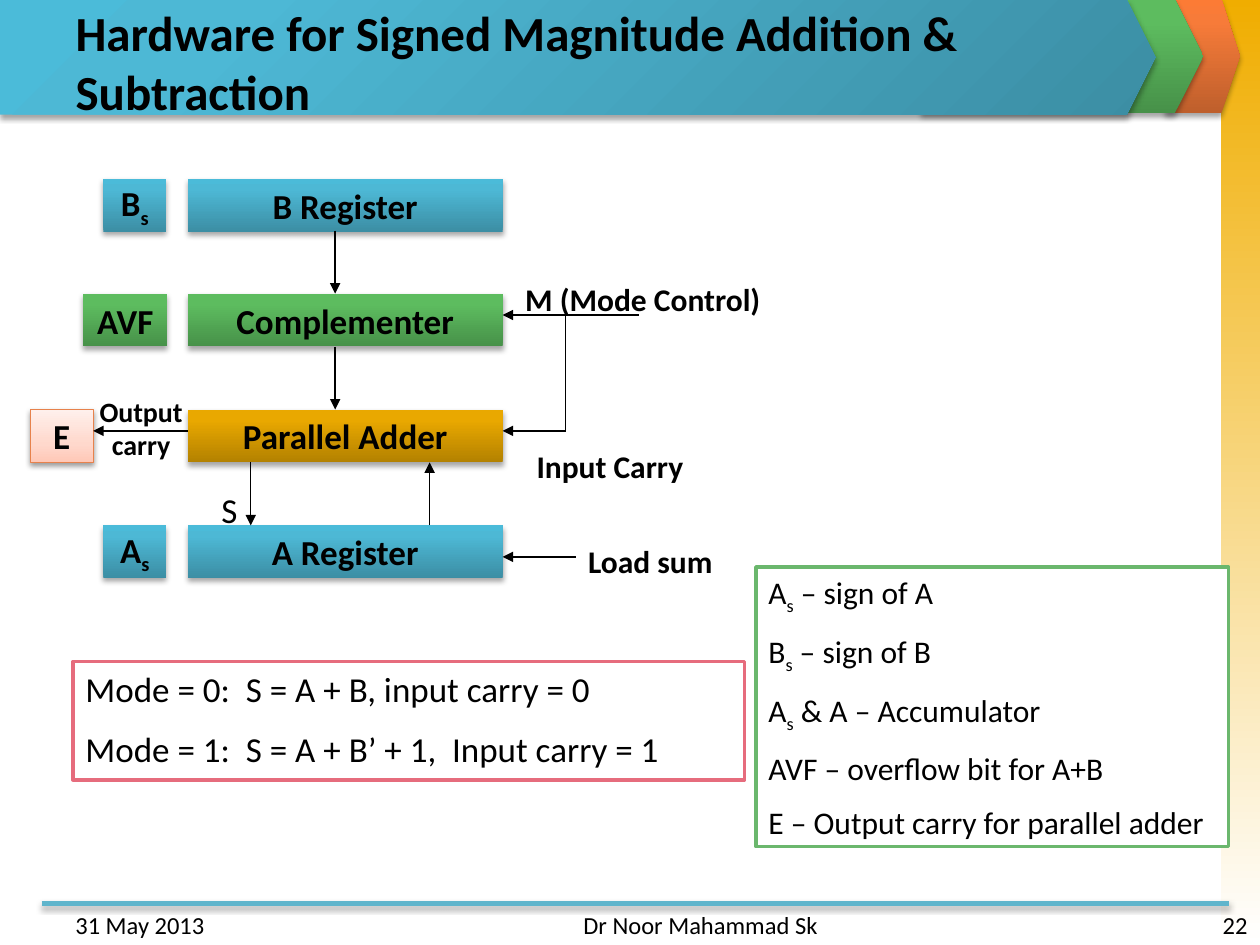
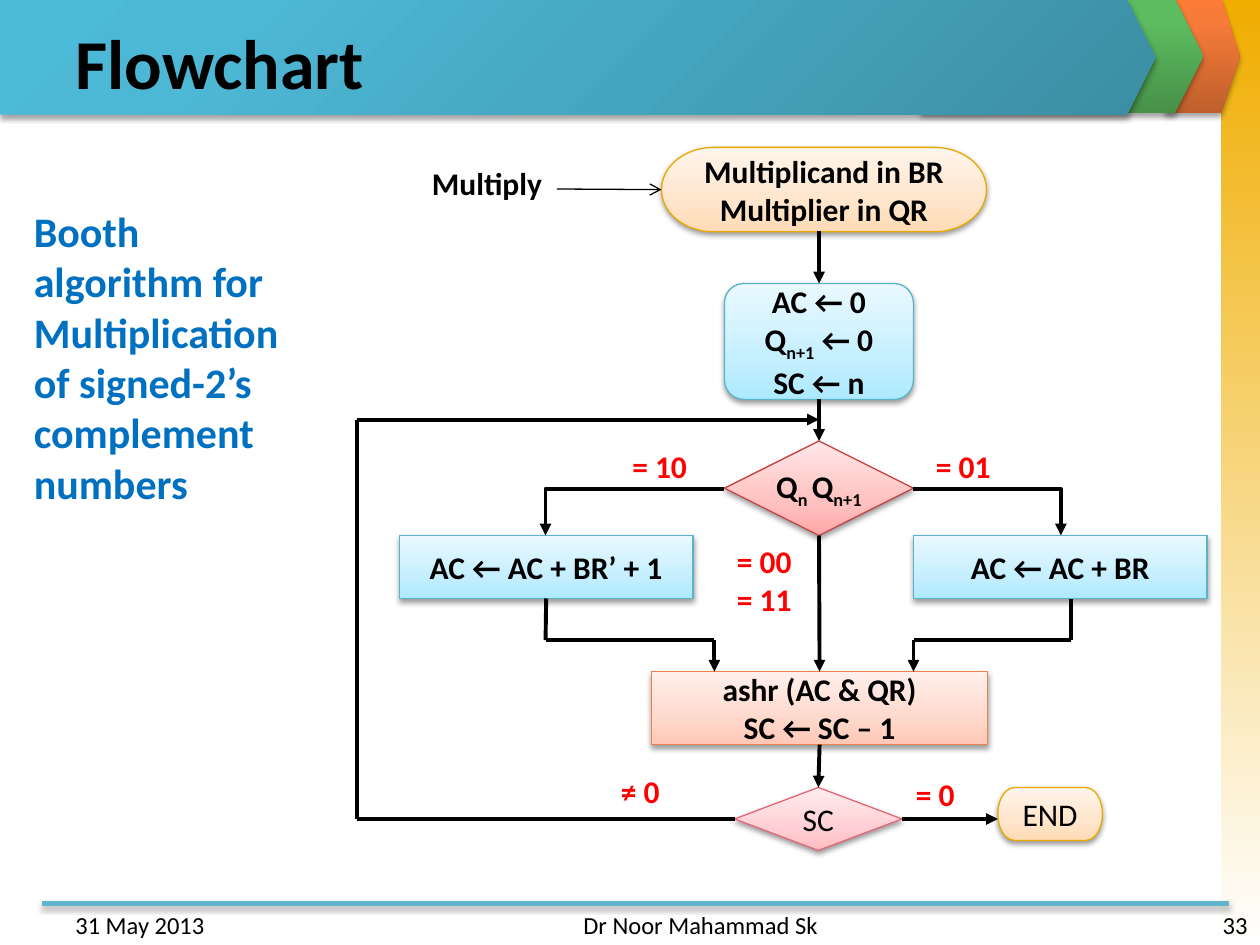
"""Build two computer-arithmetic slides: signed-magnitude hardware and the Booth flowchart."""
from collections import namedtuple
from copy import deepcopy

from lxml import etree
from pptx import Presentation
from pptx.dml.color import RGBColor
from pptx.enum.shapes import MSO_CONNECTOR as LINE, MSO_SHAPE as SHAPE
from pptx.enum.text import MSO_ANCHOR as ANCHOR, MSO_AUTO_SIZE as AUTO, PP_ALIGN as ALIGN
from pptx.oxml.ns import qn
from pptx.util import Inches, Pt

FONT = "Calibri"
BLACK = RGBColor(0x00, 0x00, 0x00)
WHITE = RGBColor(0xFF, 0xFF, 0xFF)
RED = RGBColor(0xFF, 0x00, 0x00)
BLUE = RGBColor(0x00, 0x70, 0xC0)
GOLD = RGBColor(0xF0, 0xAD, 0x00)
RULE_BLUE = RGBColor(0x60, 0xB5, 0xCC)
NOTE_GREEN = RGBColor(0x6B, 0xB7, 0x6D)
NOTE_PINK = RGBColor(0xE6, 0x6C, 0x7D)

Look = namedtuple("Look", "stops line")
SKY, GREEN, ORANGE, AMBER, PALE_ORANGE, PALE_SKY, PALE_AMBER, PALE_RED, PALE_PINK = [
    Look([RGBColor.from_string(c) for c in stops.split()], line and RGBColor.from_string(line))
    for stops, line in (
        ("3C8EA4 4DB8D5 4BBBD9", None),
        ("479149 5DBC5F 5BBF5E", None),
        ("BE5F2C F77B39 FC7B35", None),
        ("B38100 E9A800 EAA800", None),
        ("FFC8B7 FFD8CC FFF0EC", "E7824C"),
        ("ADE9FF C5EFFF E9F9FF", "5BB3CA"),
        ("FFDBB5 FFE5CB FFF5EB", "EBA900"),
        ("FFA7A7 FFC1C0 FFE7E7", "C54342"),
        ("FFBCC2 FFCFD3 FFEDEE", "E46778"),
    )
]


def add_box(slide, at, lines, size=18, bold=True, color=BLACK, look=None, kind=SHAPE.RECTANGLE,
            align=ALIGN.LEFT, wrap=False, space=0):
    """Add a label, or a gradient shape if a look is given; _x_ marks a subscript."""
    place = [Inches(v) for v in at]
    if look:
        sp = slide.shapes.add_shape(kind, *place)
        sp.fill.gradient()
        sp.fill.gradient_angle = 90
        gs_list = sp._element.spPr.find(qn("a:gradFill")).find(qn("a:gsLst"))
        for gs in list(gs_list):
            gs_list.remove(gs)
        for pos, stop in zip((0, 35 if look.line else 80, 100), look.stops):
            gs = etree.SubElement(gs_list, qn("a:gs"), pos=str(pos * 1000))
            etree.SubElement(gs, qn("a:srgbClr"), val=str(stop))
        if look.line:
            sp.line.color.rgb = look.line
            sp.line.width = Pt(0.75)
        else:
            sp.line.fill.background()
        sp.shadow.inherit = False
        effects = sp._element.spPr.find(qn("a:effectLst"))
        shadow = etree.SubElement(effects, qn("a:outerShdw"), blurRad="40000", dir="5400000",
                                  dist="20000" if look.line else "23000", rotWithShape="0")
        tint = etree.SubElement(shadow, qn("a:srgbClr"), val=str(BLACK))
        etree.SubElement(tint, qn("a:alpha"), val="38000" if look.line else "35000")
        align = ALIGN.CENTER
    else:
        sp = slide.shapes.add_textbox(*place)
    tf = sp.text_frame
    tf.word_wrap = wrap
    tf.auto_size = AUTO.NONE if look else AUTO.SHAPE_TO_FIT_TEXT
    tf.vertical_anchor = ANCHOR.MIDDLE if look else ANCHOR.TOP
    for i, line in enumerate(lines):
        p = tf.add_paragraph() if i else tf.paragraphs[0]
        p.alignment = align
        if i and space:
            p.space_before = Pt(space)
        for j, part in enumerate(line.split("_")):
            if part:
                r = p.add_run()
                r.text = part
                r.font.name, r.font.size, r.font.bold = FONT, Pt(size), bold
                r.font.color.rgb = color
                if j % 2:
                    r.font._element.set("baseline", "-25000")
    return sp


def add_line(slide, ends, width, head=None, begin=None, end=None, kind=LINE.STRAIGHT, color=BLACK):
    """Add a connector, joined to (shape, site) pairs where they are given."""
    cn = slide.shapes.add_connector(kind, *[Inches(v) for v in ends])
    if begin:
        cn.begin_connect(*begin)
    if end:
        cn.end_connect(*end)
    cn.line.color.rgb = color
    cn.line.width = Pt(width)
    if head:
        etree.SubElement(cn.line._get_or_add_ln(), qn("a:tailEnd"), type=head)
    etree.SubElement(cn._element.spPr, qn("a:effectLst"))
    return cn


prs = Presentation()
prs.slide_width, prs.slide_height = Inches(10), Inches(7.5)
layout = prs.slide_layouts[5]
slides = []
for title, size, number in (("Hardware for Signed Magnitude Addition & Subtraction", 28, "22"),
                            ("Flowchart", 40, "33")):
    s = prs.slides.add_slide(layout)
    slides.append(s)
    sp = s.shapes.title
    sp.left, sp.top, sp.width, sp.height = [Inches(v) for v in (0.5, 0.14, 9, 0.69)]
    tf = sp.text_frame
    tf.word_wrap, tf.auto_size, tf.vertical_anchor = True, AUTO.NONE, ANCHOR.MIDDLE
    p = tf.paragraphs[0]
    p.alignment = ALIGN.LEFT
    r = p.add_run()
    r.text = title
    r.font.name, r.font.size, r.font.bold = FONT, Pt(size), True
    r.font.color.rgb = BLACK
    for left, width, text, align in ((0.5, 2.33, "31 May 2013", ALIGN.LEFT),
                                     (3.42, 3.17, "Dr Noor Mahammad Sk", ALIGN.RIGHT),
                                     (7.67, 2.33, number, ALIGN.RIGHT)):
        sp = add_box(s, (left, 7.17, width, 0.25), [text], 14, False, align=align, wrap=True)
        sp.text_frame.auto_size = AUTO.NONE
hardware, flow = slides

side = hardware.shapes.add_shape(SHAPE.RECTANGLE, Inches(9.69), 0, Inches(0.31), Inches(7.5))
side.fill.gradient()
side.fill.gradient_angle = 270
for stop, color, position in zip(side.fill.gradient_stops, (GOLD, WHITE), (0, 1)):
    stop.color.rgb, stop.position = color, position
side.line.fill.background()
side.shadow.inherit = False
bands = []
for at, look in (((9.25, -0.01, 0.59, 0.91), ORANGE), ((7.31, -0.01, 2.24, 0.91), GREEN),
                 ((0, 0, 9.17, 0.91), SKY)):
    band = add_box(hardware, at, [], look=look, kind=SHAPE.PENTAGON)
    band.adjustments[0] = 0.25
    bands.append(band)
grad = band._element.spPr.find(qn("a:gradFill"))
grad.remove(grad.find(qn("a:lin")))
path = etree.SubElement(grad, qn("a:path"), path="circle")
etree.SubElement(path, qn("a:fillToRect"), l="100000", t="100000")
rule = add_line(hardware, (0.33, 7.17, 9.75, 7.17), 3, color=RULE_BLUE)
band_shadow = band._element.spPr.find(qn("a:effectLst"))[0]
rule._element.spPr.find(qn("a:effectLst")).append(deepcopy(band_shadow))
for sp in (side, *bands[:2], rule, bands[2]):
    layout.shapes._spTree.append(sp._element)

for top, name, look, left, width, flag, flag_look in (
        (1.42, "B Register", SKY, 0.82, 0.5, "B_s_", SKY),
        (2.33, "Complementer", GREEN, 0.66, 0.67, "AVF", GREEN),
        (3.25, "Parallel Adder", AMBER, 0.24, 0.5, "E", PALE_ORANGE),
        (4.17, "A Register", SKY, 0.82, 0.5, "A_s_", SKY)):
    add_box(hardware, (1.49, top, 2.5, 0.42), [name], 20, look=look)
    add_box(hardware, (left, top, width, 0.42), [flag], 20, look=flag_look)
for ends in ((1.49, 3.42, 0.74, 3.42), (2.66, 1.83, 2.66, 2.33), (2.66, 2.75, 2.66, 3.25),
             (1.99, 3.67, 1.99, 4.17), (3.41, 4.17, 3.41, 3.67), (5.07, 2.5, 3.99, 2.5),
             (4.49, 3.42, 3.99, 3.42), (4.57, 4.42, 3.99, 4.42)):
    add_line(hardware, ends, 0.75, "triangle")
add_line(hardware, (4.49, 3.42, 4.49, 2.5), 0.75)
for at, text in (((4.07, 2.17, 2.09, 0.4), "M (Mode Control)"),
                 ((4.16, 3.5, 1.41, 0.4), "Input Carry"),
                 ((4.57, 4.25, 1.26, 0.4), "Load sum")):
    add_box(hardware, at, [text])
add_box(hardware, (0.66, 3.08, 0.92, 0.64), ["Output carry"], 16, align=ALIGN.CENTER, wrap=True)
add_box(hardware, (1.66, 3.83, 0.36, 0.44), ["S"], 20, False)
for at, size, color, lines in (
        ((6, 4.5, 3.75, 2.22), 18, NOTE_GREEN,
         ["A_s_ – sign of A", "B_s_ – sign of B", "A_s_ & A – Accumulator",
          "AVF – overflow bit for A+B", "E – Output carry for parallel adder"]),
        ((0.58, 5.25, 5.33, 0.94), 20, NOTE_PINK,
         ["Mode = 0:  S = A + B, input carry = 0",
          "Mode = 1:  S = A + B’ + 1,  Input carry = 1"])):
    sp = add_box(hardware, at, lines, size, False, wrap=True, space=size / 2)
    sp.fill.solid()
    sp.fill.fore_color.rgb = WHITE
    sp.line.color.rgb = color
    sp.line.width = Pt(2)

start, init, test, subtract, add, shift, count, finish = [
    add_box(flow, at, lines, look=look, kind=kind, bold=lines[0] not in ("SC", "END"))
    for at, lines, look, kind in (
        ((5.25, 1.17, 2.58, 0.67), ["Multiplicand in BR", "Multiplier in QR"],
         PALE_AMBER, SHAPE.FLOWCHART_TERMINATOR),
        ((5.75, 2.25, 1.5, 0.92), ["AC ← 0", "Q_n+1_ ← 0", "SC ← n"],
         PALE_SKY, SHAPE.FLOWCHART_ALTERNATE_PROCESS),
        ((5.75, 3.5, 1.5, 0.75), ["Q_n _Q_n+1_"], PALE_RED, SHAPE.FLOWCHART_DECISION),
        ((3.17, 4.25, 2.33, 0.5), ["AC ← AC + BR’ + 1"], PALE_SKY, SHAPE.FLOWCHART_PROCESS),
        ((7.25, 4.25, 2.33, 0.5), ["AC ← AC + BR"], PALE_SKY, SHAPE.FLOWCHART_PROCESS),
        ((5.17, 5.33, 2.67, 0.58), ["ashr (AC & QR)", "SC ← SC – 1"],
         PALE_ORANGE, SHAPE.FLOWCHART_PROCESS),
        ((5.83, 6.25, 1.33, 0.5), ["SC"], PALE_PINK, SHAPE.FLOWCHART_DECISION),
        ((7.92, 6.25, 0.83, 0.42), ["END"], PALE_AMBER, SHAPE.FLOWCHART_TERMINATOR),
    )
]
for ends, head, begin, end in (
        ((6.5, 1.83, 6.5, 2.25), "triangle", None, (init, 0)),
        ((6.5, 3.17, 6.5, 3.5), "triangle", (init, 2), (test, 0)),
        ((6.5, 4.25, 6.5, 5.33), "triangle", (test, 2), (shift, 0)),
        ((6.5, 5.92, 6.5, 6.25), "triangle", (shift, 2), (count, 0)),
        ((7.17, 6.5, 7.92, 6.5), "triangle", (count, 3), None),
        ((5.67, 5.08, 5.67, 5.33), "triangle", None, None),
        ((7.25, 5.08, 7.25, 5.33), "triangle", None, None),
        ((7.25, 5.08, 8.5, 5.08), None, None, None),
        ((5.67, 5.08, 4.33, 5.08), None, None, None),
        ((4.33, 5.08, 4.33, 4.75), None, None, (subtract, 2)),
        ((8.5, 5.08, 8.5, 4.75), None, None, None),
        ((5.83, 6.5, 2.83, 6.5), None, (count, 1), None),
        ((2.83, 6.5, 2.83, 3.33), None, None, None),
        ((2.83, 3.33, 6.5, 3.33), "triangle", None, None)):
    add_line(flow, ends, 2.25, head, begin, end)
for ends in ((5.75, 3.88, 4.33, 4.25), (7.25, 3.88, 8.42, 4.25)):
    cn = add_line(flow, ends, 2.25, "triangle", kind=LINE.ELBOW)
    cn._element.spPr.find(qn("a:prstGeom")).set("prst", "bentConnector2")
add_line(flow, (4.42, 1.5, 5.25, 1.5), 0.75, "arrow", end=(start, 1))
add_box(flow, (3.33, 1.25, 1.1, 0.4), ["Multiply"])
for at, lines in (((4.92, 3.5, 0.64, 0.4), ["= 10"]), ((7.33, 3.5, 0.64, 0.4), ["= 01"]),
                  ((5.75, 4.25, 0.64, 0.71), ["= 00", "= 11"]),
                  ((7.17, 6.1, 0.51, 0.4), ["= 0"]), ((4.83, 6.08, 0.51, 0.4), ["≠ 0"])):
    add_box(flow, at, lines, color=RED)
add_box(flow, (0.17, 1.58, 2.33, 2.52),
        ["Booth algorithm for", "Multiplication of signed-2’s complement numbers"],
        24, color=BLUE, wrap=True)

prs.save("out.pptx")
